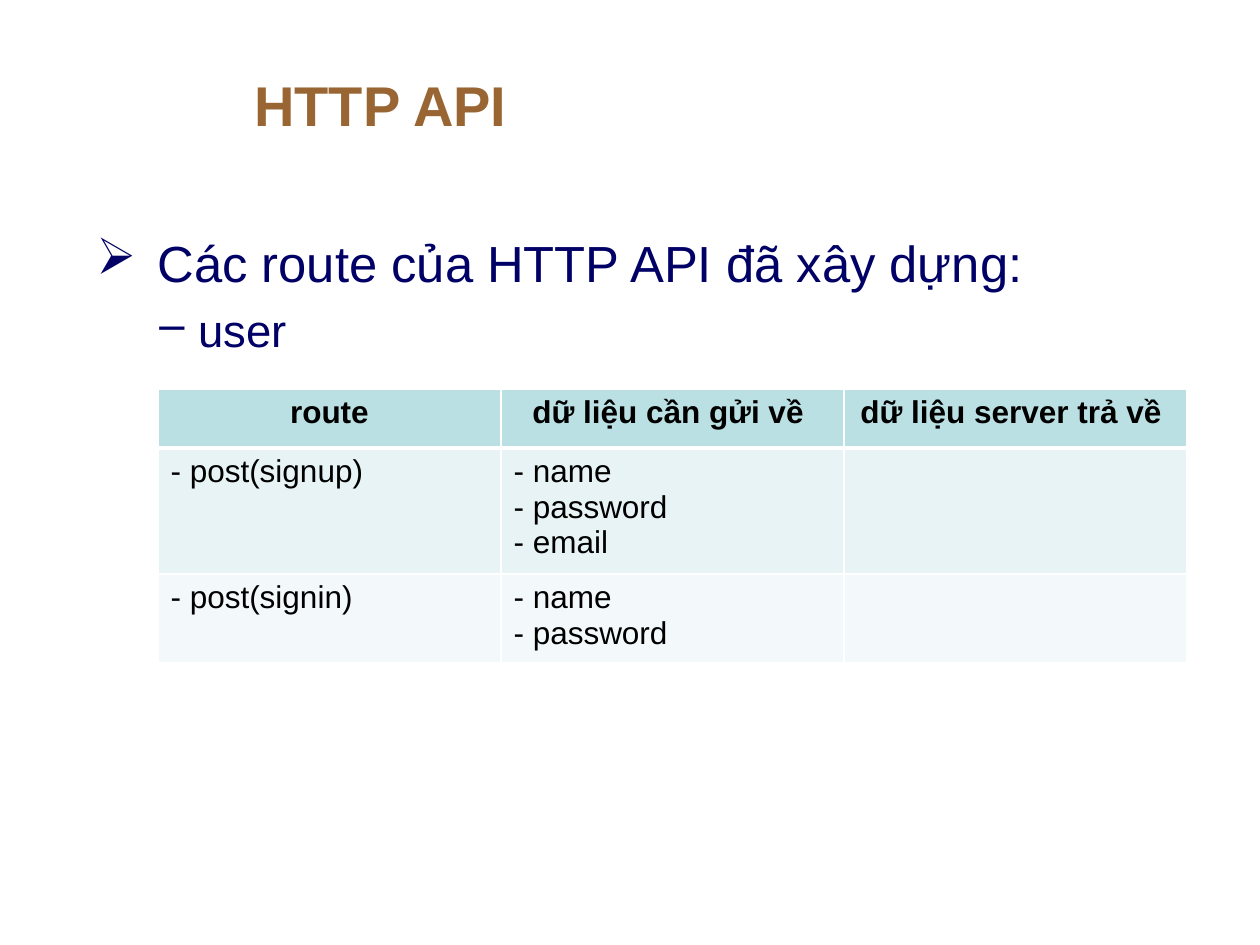
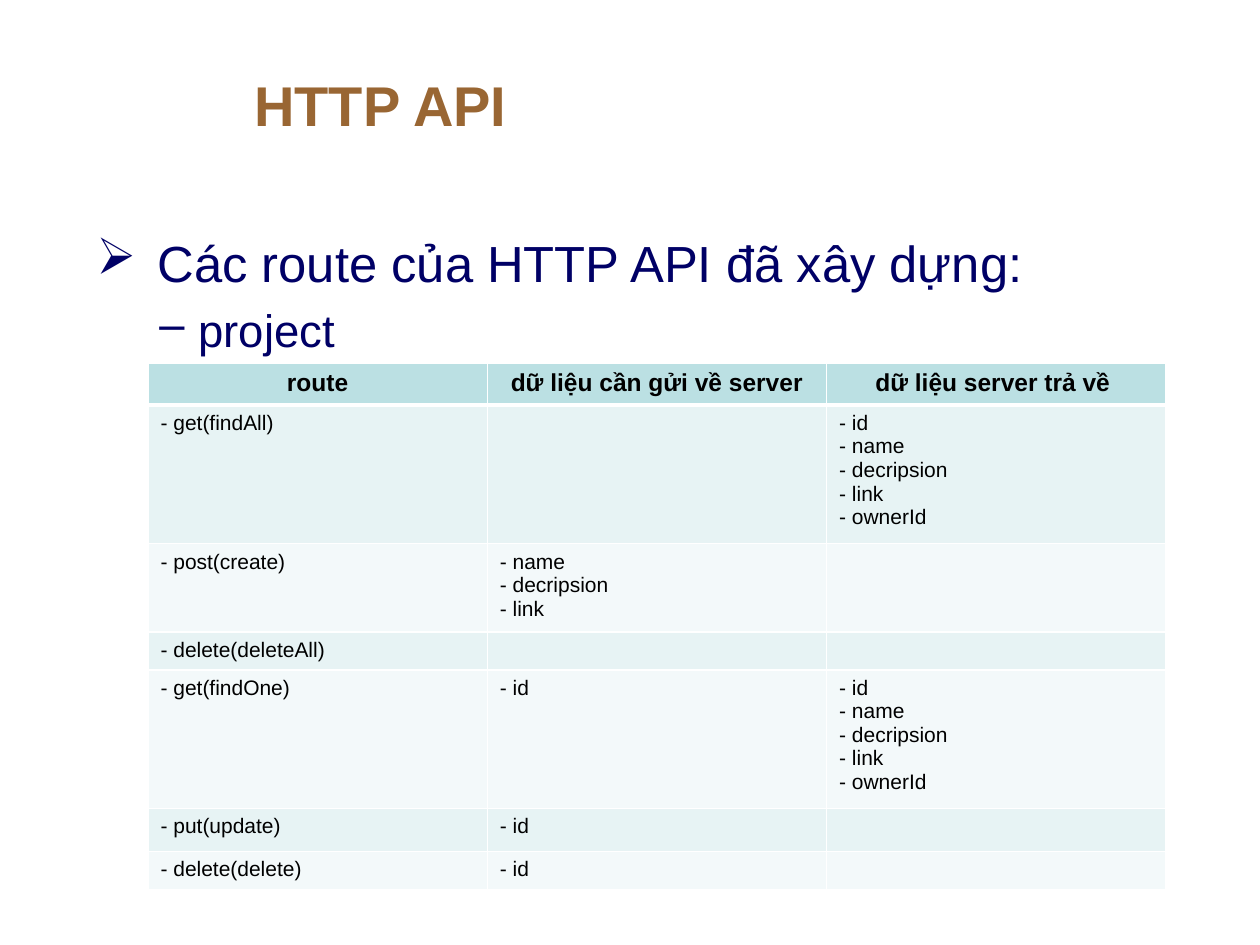
import pptx
import pptx.util
import pptx.dml.color
import pptx.enum.text
import pptx.oxml.ns
from dataclasses import dataclass
from lxml import etree

# Content
TITLE = "HTTP API"
LEAD = " Các route của HTTP API đã xây dựng:"
PROJECT_FIELDS = ["- id", "- name", "- decripsion", "- link", "- ownerId"]

SLIDES = [
    {
        "topic": "user",
        "box": (158, 389, 1029),
        "row_heights": [59, 119, 82],
        "sizes": (18, 18),
        "header": ["route", "dữ liệu cần gửi về ", "dữ liệu server trả về "],
        "routes": [
            (["- post(signup)"], ["- name", "- password", "- email"], []),
            (["- post(signin)"], ["- name", "- password"], []),
        ],
    },
    {
        "topic": "project",
        "box": (148, 363, 1018),
        "row_heights": [39, 130, 83, 37, 130, 43, 36],
        "sizes": (14, 12),
        "header": ["route", "dữ liệu cần gửi về server", "dữ liệu server trả về "],
        "routes": [
            (["- get(findAll)"], [], PROJECT_FIELDS),
            (["- post(create)"], ["- name", "- decripsion", "- link"], []),
            (["- delete(deleteAll)"], [], []),
            (["- get(findOne)"], ["- id"], PROJECT_FIELDS),
            (["- put(update)"], ["- id"], []),
            (["- delete(delete)"], ["- id"], []),
        ],
    },
]


@dataclass(frozen=True)
class Theme:
    font: str = "Arial"
    title: str = "996633"
    body: str = "000066"
    cell_text: str = "000000"
    border: str = "FFFFFF"
    header_fill: str = "BBE0E3"
    bands: tuple = ("E7F3F4", "F3F9FA")
    title_size: int = 32
    lead_size: int = 29
    topic_size: int = 26
    thin: int = 1
    thick: int = 3


THEME = Theme()
TITLE_BOX = (242, 39, 976, 130)
BODY_BOX = (84, 226, 1134, 646)


def px(length):
    return pptx.util.Emu(round(length * 914400 / 126))


def rgb(code):
    return pptx.dml.color.RGBColor.from_string(code)


def style(paragraph, size, color, bold=False):
    font = paragraph.font
    font.name, font.size, font.bold = THEME.font, pptx.util.Pt(size), bold
    font.color.rgb = rgb(color)


def add_text(slide, box, lines):
    frame = slide.shapes.add_textbox(*map(px, box)).text_frame
    frame.word_wrap = True
    frame.text = "\n".join(lines)
    return frame


def add_bullet(paragraph, mark, margin, hanging):
    """Hang a bullet and put 20% of a line before the paragraph."""
    props = paragraph._p.get_or_add_pPr()
    props.set("marL", str(px(margin)))
    props.set("indent", str(-px(hanging)))
    spacing = etree.Element(pptx.oxml.ns.qn("a:spcBef"))
    etree.SubElement(spacing, pptx.oxml.ns.qn("a:spcPct"), val="20000")
    bullet = etree.Element(pptx.oxml.ns.qn("a:buChar"), char=mark)
    props.insert(0, spacing)
    props.insert(1, bullet)


def set_borders(cell, top, bottom):
    props = cell._tc.get_or_add_tcPr()
    widths = {"lnL": THEME.thin, "lnR": THEME.thin, "lnT": top, "lnB": bottom}
    for position, (side, width) in enumerate(widths.items()):
        line = etree.Element(pptx.oxml.ns.qn("a:" + side), w=str(pptx.util.Pt(width)))
        fill = etree.SubElement(line, pptx.oxml.ns.qn("a:solidFill"))
        etree.SubElement(fill, pptx.oxml.ns.qn("a:srgbClr"), val=THEME.border)
        props.insert(position, line)


def fill_cell(cell, lines, size, fill, is_header):
    cell.fill.solid()
    cell.fill.fore_color.rgb = rgb(fill)
    cell.text = "\n".join(lines)
    for paragraph in cell.text_frame.paragraphs:
        style(paragraph, size, THEME.cell_text, is_header)
        if is_header:
            paragraph.alignment = pptx.enum.text.PP_ALIGN.CENTER
        if not lines:  # an empty cell must not stretch its row
            etree.SubElement(paragraph._p, pptx.oxml.ns.qn("a:endParaRPr"),
                             sz=str(size * 100))


def add_route_table(slide, content):
    left, top, width = content["box"]
    heights = content["row_heights"]
    header_size, route_size = content["sizes"]
    rows = [[[label] for label in content["header"]], *content["routes"]]
    table = slide.shapes.add_table(len(rows), len(rows[0]), px(left), px(top),
                                   px(width), px(sum(heights))).table
    table.first_row = table.horz_banding = False
    for column in table.columns:
        column.width = px(width / len(rows[0]))
    for index, (row, height) in enumerate(zip(rows, heights)):
        table.rows[index].height = px(height)
        is_header = index == 0
        fill = THEME.header_fill if is_header else THEME.bands[(index - 1) % 2]
        for cell, lines in zip(table.rows[index].cells, row):
            fill_cell(cell, lines, header_size if is_header else route_size,
                      fill, is_header)
            set_borders(cell, THEME.thick if index == 1 else THEME.thin,
                        THEME.thick if is_header else THEME.thin)


deck = pptx.Presentation()
deck.slide_width, deck.slide_height = px(1260), px(945)

for content in SLIDES:
    slide = deck.slides.add_slide(deck.slide_layouts[6])

    # Title
    heading = add_text(slide, TITLE_BOX, [TITLE])
    heading.vertical_anchor = pptx.enum.text.MSO_ANCHOR.MIDDLE
    style(heading.paragraphs[0], THEME.title_size, THEME.title, bold=True)

    # Lead line and topic
    lead, topic = add_text(slide, BODY_BOX, [LEAD, content["topic"]]).paragraphs
    topic.level = 1
    style(lead, THEME.lead_size, THEME.body)
    style(topic, THEME.topic_size, THEME.body)
    add_bullet(lead, "➢", 47, 47)
    add_bullet(topic, "–", 102, 39)

    # Routes
    add_route_table(slide, content)

deck.save("out.pptx")
